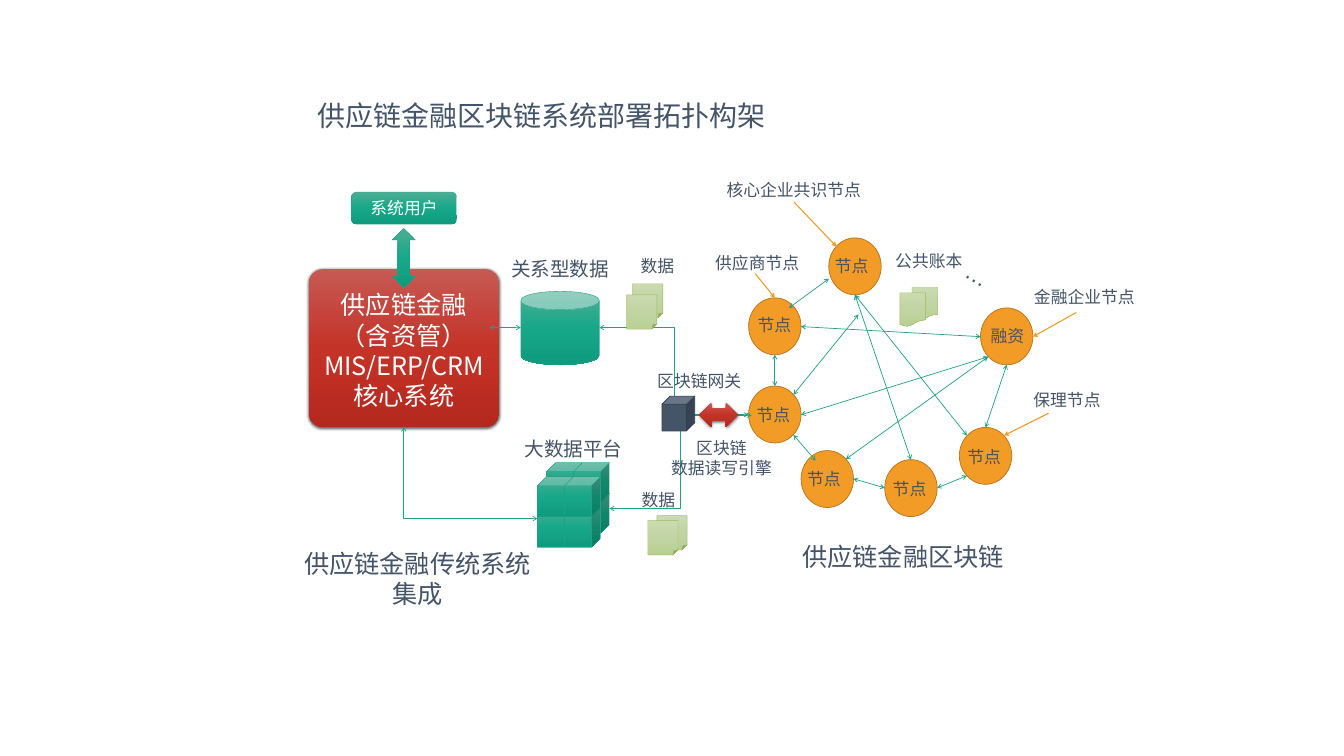
from dataclasses import dataclass
from itertools import product
from typing import Any

from pptx import Presentation
from pptx.dml.color import RGBColor
from pptx.enum.shapes import MSO_CONNECTOR as LINK, MSO_SHAPE as SHAPE
from pptx.enum.text import MSO_ANCHOR, PP_ALIGN as ALIGN
from pptx.oxml import parse_xml
from pptx.oxml.ns import nsdecls
from pptx.util import Inches, Pt

CJK = "Noto Sans CJK SC"
COLORS = {
    "ink": "445469", "ink_edge": "323E4E", "white": "FFFFFF",
    "orange": "F29B26", "orange_edge": "B3731C",
    "green": "1EA185", "paper_edge": "9BBB5C",
}
GRADIENTS = {
    "green": ("4EAD94", "17A889", "0F9B7D"),
    "paper": ("CADBB0", "C1D4A3", "B9D092"),
    "red": ("C75954", "C43328", "B5281D"),
}


def color(name):
    return RGBColor.from_string(COLORS[name])


def xml(tag, attributes="", inner=""):
    return parse_xml(f"<a:{tag} {nsdecls('a')} {attributes}>{inner}</a:{tag}>")


def write(frame, lines, size, ink="ink", font=CJK, align=ALIGN.CENTER):
    for index, line in enumerate(lines.split("\n")):
        para = frame.paragraphs[0] if index == 0 else frame.add_paragraph()
        para.text = line
        para.alignment = align
        para.font.size = Pt(size)
        para.font.name = font
        para.font.color.rgb = color(ink)
        para._p.xpath("a:pPr/a:defRPr")[0].append(xml("ea", f'typeface="{font}"'))


@dataclass
class Box:
    """A region of the page; everything drawn in it is placed from its corner."""
    page: Any
    left: float
    top: float

    def place(self, x, y):
        return Inches(self.left + x), Inches(self.top + y)

    def label(self, text, x, y, width, height, size=24, wrap=False, **style):
        label = self.page.shapes.add_textbox(
            *self.place(x, y), Inches(width), Inches(height))
        label.text_frame.word_wrap = wrap
        write(label.text_frame, text, size, **style)
        return label

    def shape(self, kind, x, y, width, height, fill, edge=None, weight=0.5):
        """Fill with a gradient where one has this name, else a plain colour."""
        shape = self.page.shapes.add_shape(
            kind, *self.place(x, y), Inches(width), Inches(height))
        shape.shadow.inherit = False
        if fill in GRADIENTS:
            stops = "".join(
                f'<a:gs pos="{50000 * i}"><a:srgbClr val="{stop}"/></a:gs>'
                for i, stop in enumerate(GRADIENTS[fill]))
            gradient = xml("gradFill", 'rotWithShape="1"',
                           f'<a:gsLst>{stops}</a:gsLst><a:lin ang="5400000" scaled="0"/>')
            shape._element.spPr.xpath("a:prstGeom")[0].addnext(gradient)
        else:
            shape.fill.solid()
            shape.fill.fore_color.rgb = color(fill)
        if edge:
            shape.line.color.rgb = color(edge)
            shape.line.width = Pt(weight)
        else:
            shape.line.fill.background()
        return shape

    def arrow(self, start, end, ink="green", weight=1, both=True, kind=LINK.STRAIGHT):
        arrow = self.page.shapes.add_connector(
            kind, *self.place(*start), *self.place(*end))
        arrow.line.color.rgb = color(ink)
        arrow.line.width = Pt(weight)
        line = arrow.line._get_or_add_ln()
        if both:
            line.append(xml("headEnd", 'type="arrow"'))
        line.append(xml("tailEnd", 'type="arrow"'))
        arrow._element.spPr.append(xml("effectLst"))
        return arrow


def cast_shadow(shape):
    shape._element.spPr.xpath("a:effectLst")[0].append(xml(
        "outerShdw", 'blurRad="57150" dist="19050" dir="5400000" algn="ctr" rotWithShape="0"',
        '<a:srgbClr val="000000"><a:alpha val="63000"/></a:srgbClr>'))


def draw_papers(box, kind, x, y, width, height, shift_x, shift_y):
    """Two sheets, the front one shifted from the rear one."""
    for step in range(2):
        box.shape(kind, x + step * shift_x, y + step * shift_y, width, height,
                  "paper", "paper_edge")


def draw_title(box):
    box.label("供应链金融区块链系统部署拓扑构架", 0, 0, 9.26, 0.77, 40, wrap=True)


def draw_network(box):
    box.label("供应链金融区块链", 1.37, 7.69, 5.09, 0.71, 36, wrap=True)
    nodes = [  # name, corner of the circle, offset of its name
        ("融资", 5.45, 3.11, 0.1, 0.31), ("节点", 1.89, 5.94, 0.02, 0.32),
        ("节点", 0.85, 4.66, 0.06, 0.33), ("节点", 0.85, 2.91, 0.08, 0.29),
        ("节点", 2.44, 1.72, 0.02, 0.3), ("节点", 3.55, 6.12, 0.06, 0.33),
        ("节点", 5.03, 5.48, 0.06, 0.34),
    ]
    for name, x, y, shift_x, shift_y in nodes:
        box.shape(SHAPE.OVAL, x, y, 1.04, 1.13, "orange", "orange_edge", 1)
        box.label(name, x + shift_x, y + shift_y, 0.88, 0.5, align=ALIGN.LEFT)

    box.label("…", 4.73, 2.13, 1.33, 0.64, 32, wrap=True, font="Arial").rotation = 31.7
    draw_papers(box, SHAPE.FLOWCHART_DOCUMENT, 4.09, 2.7, 0.51, 0.67, -0.24, 0.11)
    box.label("公共账本", 3.65, 1.92, 1.55, 0.5)

    links = [
        ((2.96, 2.85), (4.07, 6.12)), ((1.89, 3.48), (5.45, 3.68)),
        ((1.89, 5.23), (5.6, 4.08)), ((2.78, 6.11), (5.6, 4.08)),
        ((5.18, 5.64), (2.96, 2.85)), ((3.03, 3.24), (1.74, 4.83)),
        ((2.44, 2.53), (1.65, 3.11)), ((1.37, 4.04), (1.37, 4.66)),
        ((1.74, 5.63), (2.18, 6.14)), ((5.97, 4.24), (5.55, 5.48)),
        ((2.93, 6.5), (3.55, 6.68)), ((4.59, 6.68), (5.18, 6.44)),
    ]
    for start, end in links:
        box.arrow(start, end)

    callouts = [  # text, label corner and width, pointer
        ("核心企业共识节点", 0.3, 0.51, 2.89, (1.75, 1.01), (2.59, 1.89)),
        ("供应商节点", 0.08, 1.97, 1.88, (0.98, 2.43), (1.37, 2.91)),
        ("金融企业节点", 6.37, 2.63, 2.28, (7.35, 3.2), (6.49, 3.68)),
        ("保理节点", 6.39, 4.68, 1.55, (6.8, 5.2), (5.92, 5.64)),
    ]
    for text, x, y, width, start, end in callouts:
        box.label(text, x, y, width, 0.5)
        box.arrow(start, end, "orange", 1.5, both=False)


def draw_legacy_system(box):
    box.shape(SHAPE.CAN, 5.33, 2.78, 1.56, 1.46, "green", "green")
    box.label("关系型数据", 5.04, 2.05, 2.17, 0.57, 28, align=ALIGN.LEFT)

    for (x, y), row, column in product(((5.84, 6.18), (5.66, 6.46)), (1, 0), (0, 1)):
        box.shape(SHAPE.CUBE, x + 0.54 * column, y + 0.61 * row, 0.71, 0.79,
                  "green", "green")
    box.label("大数据平台", 5.31, 5.62, 2.17, 0.57, 28, align=ALIGN.LEFT)

    core = box.shape(SHAPE.ROUNDED_RECTANGLE, 1.13, 2.34, 3.77, 3.13, "red")
    core.adjustments[0] = 0.089
    cast_shadow(core)
    box.label("供应链金融\n（含资管）\nMIS/ERP/CRM\n核心系统",
              0.89, 2.7, 4.24, 2.52, 36, wrap=True, ink="white")
    box.arrow((5.33, 3.5), (4.71, 3.5))
    corner = box.arrow((5.66, 7.29), (3.01, 5.47), kind=LINK.ELBOW)
    corner._element.spPr.xpath("a:prstGeom")[0].set("prst", "bentConnector2")

    users = box.shape(SHAPE.ROUNDED_RECTANGLE, 1.97, 0.81, 2.09, 0.64, "green", "green")
    users.text_frame.vertical_anchor = MSO_ANCHOR.MIDDLE
    write(users.text_frame, "系统用户", 24, "white")
    box.shape(SHAPE.UP_DOWN_ARROW, 2.78, 1.53, 0.46, 1.18, "green", "green")
    box.label("供应链金融传统系统集成", 0.92, 7.82, 4.72, 1.31, 36, wrap=True)


def draw_gateway(box):
    """The bridge between the stores on the left and the chain on the right."""
    box.arrow((3.85, 5.23), (0.89, 3.5), kind=LINK.ELBOW)
    box.arrow((3.91, 5.24), (1.09, 7.09), kind=LINK.ELBOW)
    draw_papers(box, SHAPE.FOLDED_CORNER, 1.55, 2.63, 0.6, 0.68, -0.12, 0.22)
    draw_papers(box, SHAPE.FOLDED_CORNER, 2.03, 7.23, 0.6, 0.68, -0.18, 0.1)
    box.label("数据", 1.6, 2.03, 0.88, 0.5)
    box.label("数据", 1.62, 6.66, 0.88, 0.5)
    box.label("区块链\n数据读写引擎", 2.2, 5.64, 2.22, 0.91)
    box.shape(SHAPE.CUBE, 2.13, 4.86, 0.65, 0.69, "ink", "ink_edge", 1)
    box.label("区块链网关", 1.93, 4.3, 1.88, 0.5)
    cast_shadow(box.shape(SHAPE.LEFT_RIGHT_ARROW, 2.87, 4.99, 0.77, 0.48, "red"))


def main():
    deck = Presentation()
    deck.slide_width, deck.slide_height = Inches(26.66), Inches(15)
    page = deck.slides.add_slide(deck.slide_layouts[6])
    draw_title(Box(page, 6.11, 1.9))
    draw_network(Box(page, 14, 3))
    draw_legacy_system(Box(page, 5, 3))
    draw_gateway(Box(page, 11, 3))
    deck.save("out.pptx")


if __name__ == "__main__":
    main()
